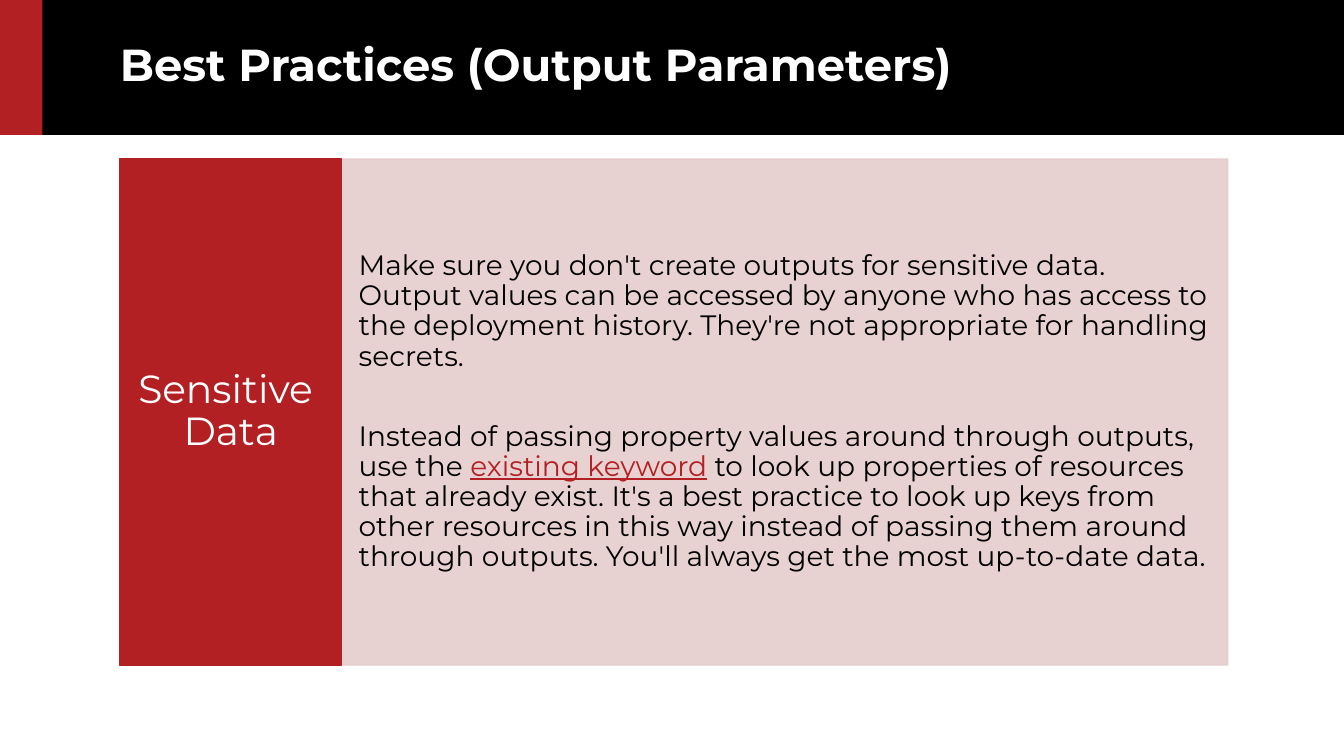
"""Build the slide on best practices for output parameters."""
from lxml.etree import SubElement
from pptx import Presentation
from pptx.dml.color import RGBColor
from pptx.enum.shapes import MSO_SHAPE as Shape
from pptx.enum.text import MSO_ANCHOR as Anchor, MSO_AUTO_SIZE as AutoSize, PP_ALIGN as Align
from pptx.oxml.ns import qn
from pptx.util import Cm, Pt

BLACK = RGBColor(0x00, 0x00, 0x00)
WHITE = RGBColor(0xFF, 0xFF, 0xFF)
RED = RGBColor(0xB3, 0x20, 0x24)
PINK = RGBColor(0xE5, 0xCD, 0xCD)

HEADER_HEIGHT = Cm(3.4)
LEFT, TOP = Cm(3.02), Cm(4.01)
LABEL_WIDTH, ADVICE_WIDTH, PANEL_HEIGHT = Cm(5.59), Cm(22.33), Cm(12.75)


def add_block(left, top, width, height, color):
    block = slide.shapes.add_shape(Shape.RECTANGLE, left, top, width, height)
    block.shadow.inherit = False
    block.fill.solid()
    block.fill.fore_color.rgb = color
    block.line.color.rgb = color
    block.line.width = Pt(1)
    return block


def add_text(paragraph, text, size, color, bold=False, underline=False):
    run = paragraph.add_run()
    run.text = text
    font = run.font
    font.name, font.size, font.color.rgb = "Montserrat", Pt(size), color
    font.bold, font.underline = bold, underline


prs = Presentation()
prs.slide_width, prs.slide_height = Cm(33.87), Cm(19.05)
slide = prs.slides.add_slide(prs.slide_layouts[5])

for band_width, band_color in [(prs.slide_width, BLACK), (Cm(1.07), RED)]:
    band = add_block(0, 0, band_width, HEADER_HEIGHT, band_color)
    band.line.fill.background()

title = slide.shapes.title
title.element.getparent().append(title.element)
title.left, title.top, title.width, title.height = LEFT, 0, LABEL_WIDTH + ADVICE_WIDTH, HEADER_HEIGHT
heading = title.text_frame.paragraphs[0]
heading.alignment = Align.LEFT
add_text(heading, "Best Practices (Output Parameters)", 32, WHITE, bold=True)

advice = add_block(LEFT + LABEL_WIDTH, TOP, ADVICE_WIDTH, PANEL_HEIGHT, PINK)
for color_node in advice.element.spPr.iter(qn("a:srgbClr")):
    SubElement(color_node, qn("a:alpha"), val="90000")
label = add_block(LEFT, TOP, LABEL_WIDTH, PANEL_HEIGHT, RED)

for part, side_inset in [(title, 0), (advice, Cm(0.43)), (label, Cm(0.3))]:
    frame = part.text_frame
    frame.word_wrap = True
    frame.auto_size = AutoSize.NONE
    frame.vertical_anchor = Anchor.MIDDLE
    frame.margin_left = frame.margin_right = side_inset
    frame.margin_top = frame.margin_bottom = 0

warning = advice.text_frame.paragraphs[0]
add_text(warning, "Make sure you don't create outputs for sensitive data. Output values can be "
         "accessed by anyone who has access to the deployment history. They're not appropriate "
         "for handling secrets.", 20, BLACK)

alternative = advice.text_frame.add_paragraph()
alternative.space_before = Pt(35.5)
add_text(alternative, "Instead of passing property values around through outputs, use the ", 20, BLACK)
add_text(alternative, "existing keyword", 20, RED, underline=True)
add_text(alternative, " to look up properties of resources that already exist. It's a best practice "
         "to look up keys from other resources in this way instead of passing them around through "
         "outputs. You'll always get the most up-to-date data.", 20, BLACK)

topic = label.text_frame.paragraphs[0]
topic.alignment = Align.CENTER
add_text(topic, "Sensitive ", 28, WHITE)
topic.add_line_break()
add_text(topic, "Data", 28, WHITE)

for paragraph in (warning, alternative):
    paragraph.alignment = Align.LEFT
for paragraph in (heading, warning, alternative, topic):
    paragraph.line_spacing = 0.9

prs.save("out.pptx")
